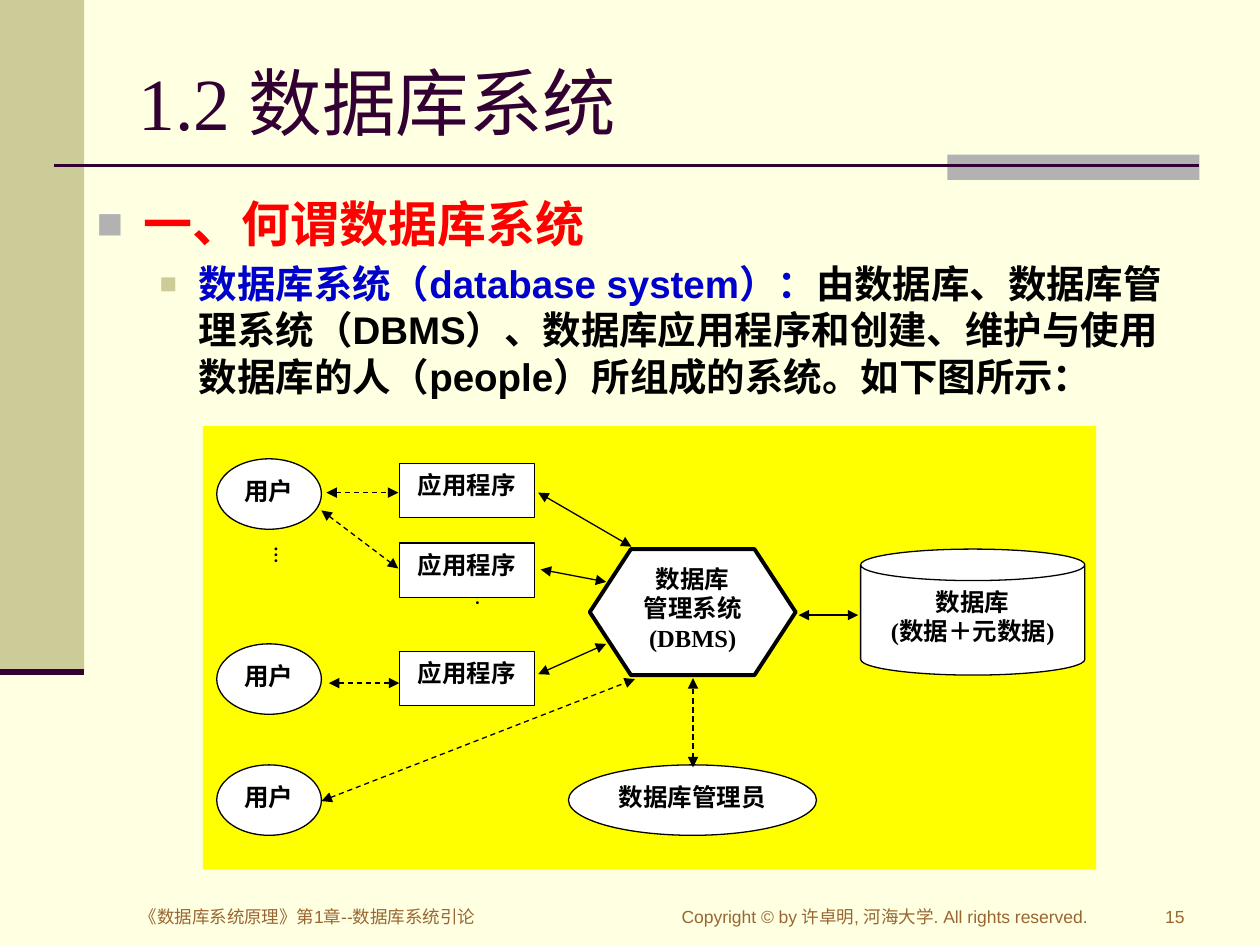
from lxml.etree import SubElement
from pptx import Presentation
from pptx.dml.color import RGBColor
from pptx.enum.dml import MSO_LINE_DASH_STYLE as Dash
from pptx.enum.shapes import MSO_CONNECTOR as Connector, MSO_SHAPE as Shape
from pptx.enum.text import MSO_ANCHOR as Anchor, PP_ALIGN as Align
from pptx.oxml.ns import qn
from pptx.util import Cm, Pt

CREAM = RGBColor(0xFF, 0xFF, 0xE1)
KHAKI = RGBColor(0xCC, 0xCC, 0x99)
GRAY = RGBColor(0xB2, 0xB2, 0xB2)
PLUM = RGBColor(0x33, 0x00, 0x33)
BROWN = RGBColor(0x99, 0x66, 0x33)
RED = RGBColor(0xFF, 0x00, 0x00)
BLUE = RGBColor(0x00, 0x00, 0xCC)
YELLOW = RGBColor(0xFF, 0xFF, 0x00)
BLACK = RGBColor(0x00, 0x00, 0x00)
WHITE = RGBColor(0xFF, 0xFF, 0xFF)
SERIF = "Times New Roman"
SANS = "Arial"


class SlideBuilder:
    def __init__(self, slide):
        self.slide = slide
        fill = slide.background.fill
        fill.solid()
        fill.fore_color.rgb = CREAM

    def style(self, paragraph, size, color=None, name=SERIF, bold=False, align=Align.LEFT):
        paragraph.alignment = align
        paragraph.font.size = Pt(size)
        paragraph.font.name = name
        paragraph.font.bold = bold
        if color is not None:
            paragraph.font.color.rgb = color

    def block(self, kind, box, fill):
        shape = self.slide.shapes.add_shape(kind, *map(Cm, box))
        shape.shadow.inherit = False
        shape.fill.solid()
        shape.fill.fore_color.rgb = fill
        shape.line.fill.background()
        return shape

    def node(self, kind, box, lines, weight=0.75, top=0.13):
        shape = self.block(kind, box, WHITE)
        shape.line.color.rgb = BLACK
        shape.line.width = Pt(weight)
        frame = shape.text_frame
        frame.vertical_anchor = Anchor.TOP
        frame.margin_top = Cm(top)
        frame.text = lines
        for paragraph in frame.paragraphs:
            self.style(paragraph, 14, BLACK, bold=True, align=Align.CENTER)
        return shape

    def line(self, start, end, color=BLACK, weight=0.75):
        connector = self.slide.shapes.add_connector(
            Connector.STRAIGHT, *map(Cm, (*start, *end)))
        connector.line.color.rgb = color
        connector.line.width = Pt(weight)
        SubElement(connector._element.spPr, qn("a:effectLst"))
        return connector

    def arrow(self, start, end, dashed=False):
        connector = self.line(start, end)
        if dashed:
            connector.line.dash_style = Dash.DASH
        outline = connector.line._get_or_add_ln()
        for tag in ("a:headEnd", "a:tailEnd"):
            SubElement(outline, qn(tag), type="triangle")

    def frame(self, box):
        frame = self.slide.shapes.add_textbox(*map(Cm, box)).text_frame
        frame.word_wrap = True
        return frame

    def label(self, box, text, size, color, name=SANS, align=Align.LEFT, anchor=Anchor.TOP):
        frame = self.frame(box)
        frame.vertical_anchor = anchor
        frame.text = text
        self.style(frame.paragraphs[0], size, color, name, align=align)

    def vertical_dots(self, left, top):
        frame = self.frame((left, top, 1.19, 1.93))
        frame._txBody.bodyPr.set("vert", "eaVert")
        frame.text = "…"
        self.style(frame.paragraphs[0], 10, BLACK, bold=True, align=Align.CENTER)

    def bullet(self, paragraph, runs, size, level, margin, hanging, color, percent):
        paragraph.level = level
        properties = paragraph._p.get_or_add_pPr()
        properties.set("marL", str(Cm(margin)))
        properties.set("indent", str(-Cm(hanging)))
        bullet_color = SubElement(properties, qn("a:buClr"))
        SubElement(bullet_color, qn("a:srgbClr"), val=str(color))
        SubElement(properties, qn("a:buSzPct"), val=str(percent * 1000))
        SubElement(properties, qn("a:buFont"), typeface=SANS)
        SubElement(properties, qn("a:buChar"), char="■")
        self.style(paragraph, size, name=SANS, bold=True)
        for text, run_color in runs:
            run = paragraph.add_run()
            run.text = text
            run.font.color.rgb = run_color


def main():
    presentation = Presentation()
    presentation.slide_width = Cm(25.4)
    presentation.slide_height = Cm(19.05)
    builder = SlideBuilder(presentation.slides.add_slide(presentation.slide_layouts[6]))

    builder.block(Shape.RECTANGLE, (0, 0, 1.7, 13.54), KHAKI)
    builder.block(Shape.RECTANGLE, (19.1, 3.12, 5.08, 0.51), GRAY)
    builder.line((1.09, 3.33), (24.18, 3.33), PLUM, 1.5)
    builder.line((0, 13.54), (1.7, 13.54), PLUM, 3.5)

    builder.label((2.54, 0.76, 21.59, 2.57), "1.2 数据库系统", 42, PLUM, SERIF, anchor=Anchor.MIDDLE)
    body = builder.frame((1.7, 3.78, 22.43, 14.15))
    builder.bullet(body.paragraphs[0], [("一、何谓数据库系统", RED)], 28, 0, 0.95, 0.95, GRAY, 90)
    definition = body.add_paragraph()
    definition.space_before = Pt(4.4)
    builder.bullet(definition, [
        ("数据库系统（database system）：", BLUE),
        ("由数据库、数据库管理系统（DBMS）、数据库应用程序和创建、维护与使用"
         "数据库的人（people）所组成的系统。如下图所示：", BLACK),
    ], 22, 1, 2.06, 0.79, KHAKI, 75)

    builder.block(Shape.RECTANGLE, (4.09, 8.59, 18.01, 8.94), YELLOW)
    builder.vertical_dots(4.83, 10.77)
    builder.vertical_dots(8.89, 11.61)
    builder.node(Shape.FLOWCHART_PREPARATION, (11.89, 11.07, 4.15, 2.54),
                 "数据库\v管理系统(DBMS)", 2.25, 0.3)
    can = builder.node(Shape.CAN, (17.35, 11.07, 4.52, 2.54), "数据库\n(数据＋元数据)")
    can.adjustments[0] = 0.25
    for top in (9.35, 10.95, 13.13):
        builder.node(Shape.FLOWCHART_PROCESS, (8.05, top, 2.72, 1.09), "应用程序")
    for top in (9.25, 12.98, 15.42):
        builder.node(Shape.OVAL, (4.37, top, 2.11, 1.42), "用户")
    builder.node(Shape.OVAL, (11.46, 15.42, 5, 1.42), "数据库管理员")

    solid_arrows = [
        ((16.1, 12.4), (17.3, 12.4)),
        ((10.85, 9.93), (12.73, 11.02)),
        ((10.9, 11.48), (12.22, 11.73)),
        ((10.85, 13.59), (12.22, 12.98)),
    ]
    dashed_arrows = [
        ((6.48, 16.15), (12.8, 13.69)),
        ((13.97, 15.47), (13.97, 13.67)),
        ((6.58, 9.93), (8.03, 9.93)),
        ((6.63, 13.77), (8.05, 13.77)),
        ((6.48, 10.29), (8.03, 11.46)),
    ]
    for start, end in solid_arrows:
        builder.arrow(start, end)
    for start, end in dashed_arrows:
        builder.arrow(start, end, dashed=True)

    footers = [
        (2.57, 10.74, "《数据库系统原理》第1章--数据库系统引论", Align.LEFT),
        (13.49, 8.79, "Copyright © by 许卓明, 河海大学. All rights reserved.", Align.LEFT),
        (22.5, 1.63, "15", Align.RIGHT),
    ]
    for left, width, text, align in footers:
        builder.label((left, 18.14, width, 0.89), text, 10, BROWN, align=align)

    presentation.save("out.pptx")


if __name__ == "__main__":
    main()
